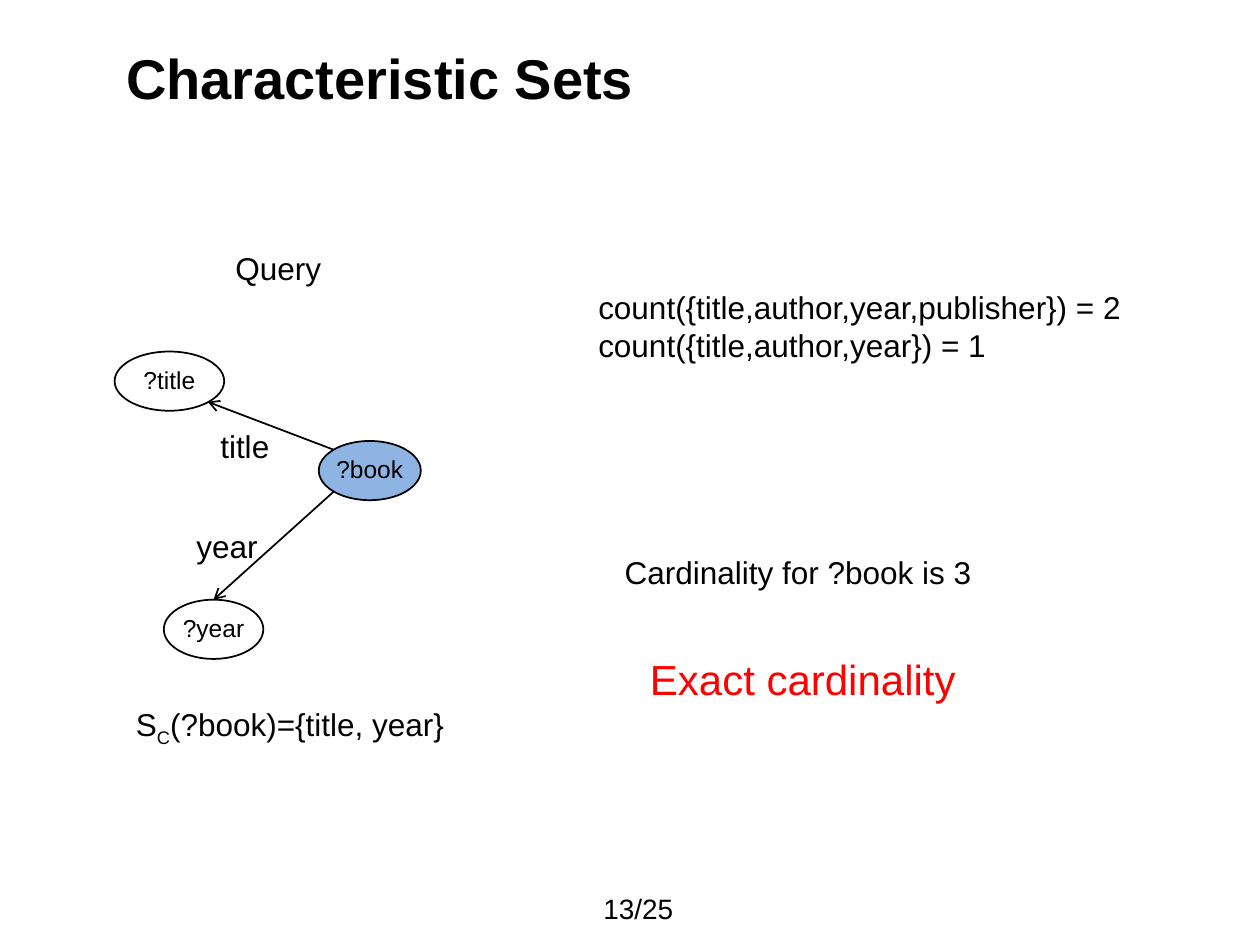
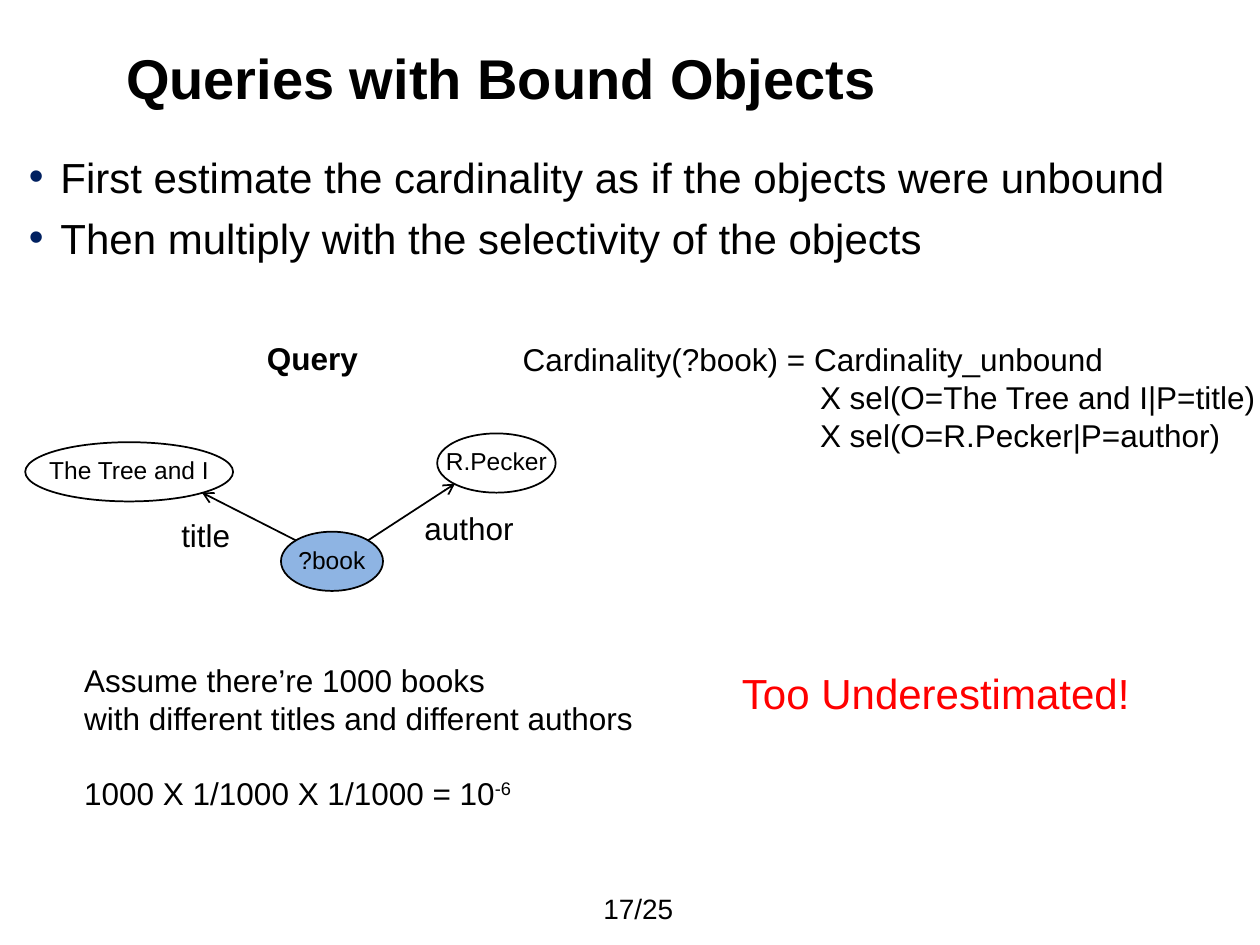
from lxml import etree
from pptx import Presentation
from pptx.dml.color import RGBColor as RGB
from pptx.enum.shapes import MSO_CONNECTOR as LINE, MSO_SHAPE as SHAPE
from pptx.enum.text import MSO_ANCHOR as ANCHOR, MSO_AUTO_SIZE as AUTO, PP_ALIGN as ALIGN
from pptx.oxml.ns import qn
from pptx.util import Inches, Pt

HUES = {"ink": "000000", "node": "8EB4E3", "alert": "FF0000", "bullet": "002060"}
FONT = "Arial"
NODE_H = 0.47
NEAR, FAR = 0.15, 0.85  # diagonal points of an ellipse, as shares of its box


def style(para, size, hue="ink", bold=False):
    font = para.font
    font.name, font.size, font.bold = FONT, Pt(size), bold
    font.color.rgb = RGB.from_string(HUES[hue])


def write(slide, box, lines, size=18, hue="ink", bold=False, wrap=False):
    """Add a text box; a line is a list of (text, baseline shift) runs or a string."""
    frame = slide.shapes.add_textbox(*map(Inches, box)).text_frame
    frame.word_wrap = wrap
    for i, line in enumerate(lines):
        para = frame.paragraphs[0] if i == 0 else frame.add_paragraph()
        for text, shift in [(line, 0)] if isinstance(line, str) else line:
            run = para.add_run()
            run.text = text
            if shift:
                run._r.get_or_add_rPr().set("baseline", str(shift * 1000))
        style(para, size, hue, bold)
    return frame


# nodes: name -> left, top, width
# edges: start share of ?book, end node, end share
# texts: box, lines, then size, hue, bold
pages = [
    {
        "title": "Characteristic Sets",
        "number": "13/25",
        "bullets": [],
        "nodes": {"?book": (2.53, 3.5, 0.81), "?title": (0.91, 2.79, 0.87),
                  "?year": (1.3, 4.76, 0.79)},
        "edges": [((NEAR, NEAR), "?title", (FAR, FAR)),
                  ((NEAR, FAR), "?year", (0.5, 0))],
        "texts": [
            ((1.65, 3.34, 0.59, 0.4), ["title"]),
            ((1.46, 4.13, 0.69, 0.4), ["year"]),
            ((1.77, 1.93, 0.89, 0.4), ["Query"]),
            ((0.98, 5.55, 2.69, 0.4),
             [[("S", 0), ("C", -25), ("(?book)={title, year}", 0)]]),
            ((4.65, 2.24, 5, 0.71), ["count({title,author,year,publisher}) = 2",
                                     "count({title,author,year}) = 1"]),
            ((4.86, 4.34, 2.98, 0.4), ["Cardinality for ?book is 3"]),
            ((5.06, 5.14, 2.65, 0.5), ["Exact cardinality"], 24, "alert"),
        ],
    },
    {
        "title": "Queries with Bound Objects",
        "number": "17/25",
        "bullets": ["First estimate the cardinality as if the objects were unbound",
                    "Then multiply with the selectivity of the objects"],
        "nodes": {"?book": (2.23, 4.22, 0.81), "The Tree and I": (0.2, 3.51, 1.65),
                  "R.Pecker": (3.47, 3.44, 0.94)},
        "edges": [((NEAR, NEAR), "The Tree and I", (FAR, FAR)),
                  ((FAR, NEAR), "R.Pecker", (NEAR, FAR))],
        "texts": [
            ((1.34, 4.05, 0.59, 0.4), ["title"]),
            ((2.02, 2.64, 0.93, 0.4), ["Query"], 18, "ink", True),
            ((3.27, 3.99, 0.92, 0.4), ["author"]),
            ((5.79, 5.25, 3.31, 0.5), ["Too Underestimated!"], 24, "alert"),
        ],
    },
]

deck = Presentation()
deck.slide_width, deck.slide_height = Inches(10), Inches(7.5)

for page in pages:
    layout = deck.slide_layouts[1 if page["bullets"] else 5]
    slide = deck.slides.add_slide(layout)

    title = slide.shapes.title
    title.left, title.top, title.width, title.height = map(Inches, (0.9, 0.29, 8.29, 0.64))
    title.text_frame.text = page["title"]
    title.text_frame.vertical_anchor = ANCHOR.BOTTOM
    title.text_frame.auto_size = AUTO.NONE
    head = title.text_frame.paragraphs[0]
    head.alignment = ALIGN.LEFT
    style(head, 32, bold=True)

    if page["bullets"]:
        body = slide.placeholders[1]
        body.left, body.top, body.width, body.height = map(Inches, (0.23, 1.2, 9.53, 5.44))
        frame = body.text_frame
        frame.text = "\n".join(page["bullets"])
        frame.auto_size = AUTO.NONE
        frame.margin_left = frame.margin_right = frame.margin_top = frame.margin_bottom = 0
        for i, para in enumerate(frame.paragraphs):
            para.space_before = Pt(6 if i else 0)
            props = para._p.get_or_add_pPr()
            props.set("marL", str(Inches(0.25)))
            props.set("indent", str(-Inches(0.25)))
            tint = etree.SubElement(props, qn("a:buClr"))
            etree.SubElement(tint, qn("a:srgbClr"), val=HUES["bullet"])
            etree.SubElement(props, qn("a:buFont"), typeface=FONT)
            etree.SubElement(props, qn("a:buChar"), char="•")
            style(para, 24)

    nodes = page["nodes"]
    for name, (left, top, width) in nodes.items():
        node = slide.shapes.add_shape(SHAPE.OVAL, *map(Inches, (left, top, width, NODE_H)))
        node.shadow.inherit = False
        if name == "?book":
            node.fill.solid()
            node.fill.fore_color.rgb = RGB.from_string(HUES["node"])
        else:
            node.fill.background()
        node.line.color.rgb = RGB.from_string(HUES["ink"])
        node.line.width = Pt(1)
        frame = node.text_frame
        frame.text = name
        frame.word_wrap = False
        frame.vertical_anchor = ANCHOR.MIDDLE
        label = frame.paragraphs[0]
        label.alignment = ALIGN.CENTER
        label.line_spacing = 0.9
        style(label, 14)

    for start, goal, end in page["edges"]:
        ends = []
        for name, (across, down) in (("?book", start), (goal, end)):
            left, top, width = nodes[name]
            ends += [Inches(left + width * across), Inches(top + NODE_H * down)]
        edge = slide.shapes.add_connector(LINE.STRAIGHT, *ends)
        edge.line.color.rgb = RGB.from_string(HUES["ink"])
        edge.line.width = Pt(1)
        etree.SubElement(edge.line._get_or_add_ln(), qn("a:tailEnd"), type="arrow")
        etree.SubElement(edge._element.spPr, qn("a:effectLst"))

    for text in page["texts"]:
        write(slide, *text)

    foot = write(slide, (4.69, 7.06, 0.86, 0.29), [page["number"]], 16, wrap=True)
    foot.vertical_anchor = ANCHOR.MIDDLE

# The last slide has two text blocks with spacing of their own
rule = write(slide, (4.05, 2.65, 5.95, 1.01),
             ["Cardinality(?book) = Cardinality_unbound",
              "X sel(O=The Tree and I|P=title)",
              "X sel(O=R.Pecker|P=author)"], wrap=True)
rule.margin_right = 0
for para in rule.paragraphs[1:]:
    para._p.get_or_add_pPr().set("marL", str(Inches(2.36)))

proof = write(slide, (0.57, 5.2, 4.6, 1.31),
              ["Assume there’re 1000 books",
               "with different titles and different authors",
               [("1000 X 1/1000 X 1/1000 = 10", 0), ("-6", 30)]])
proof.paragraphs[2].space_before = Pt(21)

deck.save("out.pptx")
